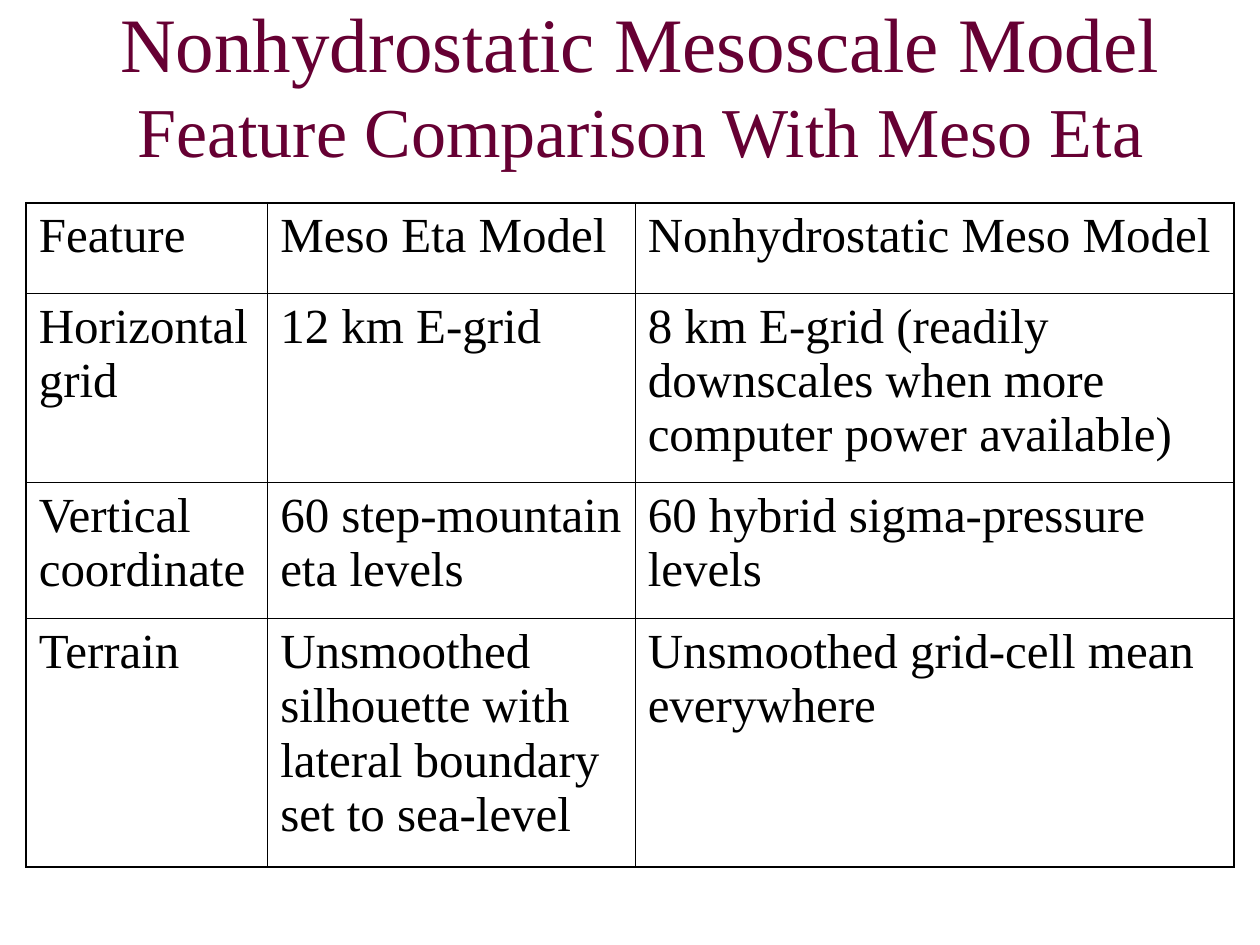
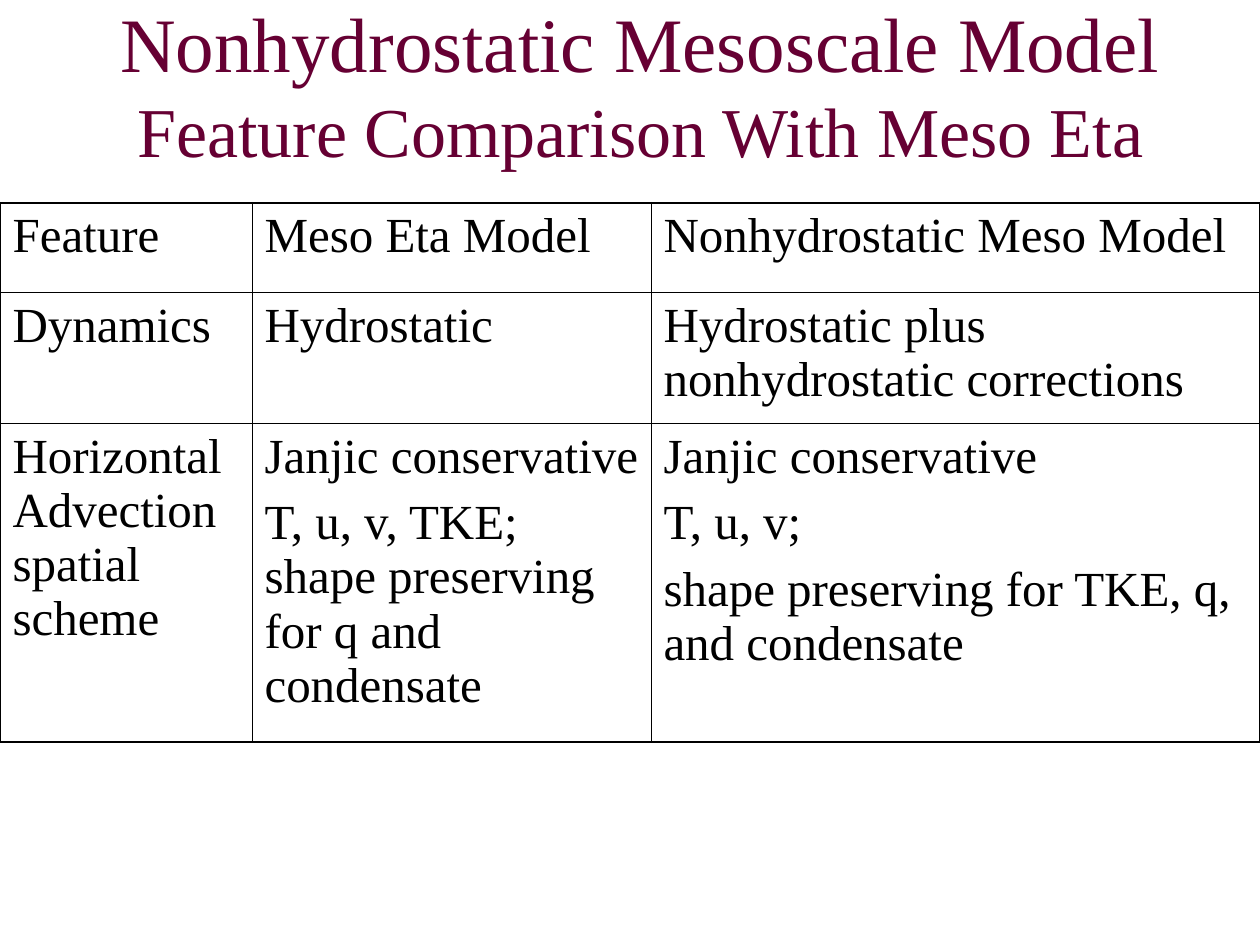
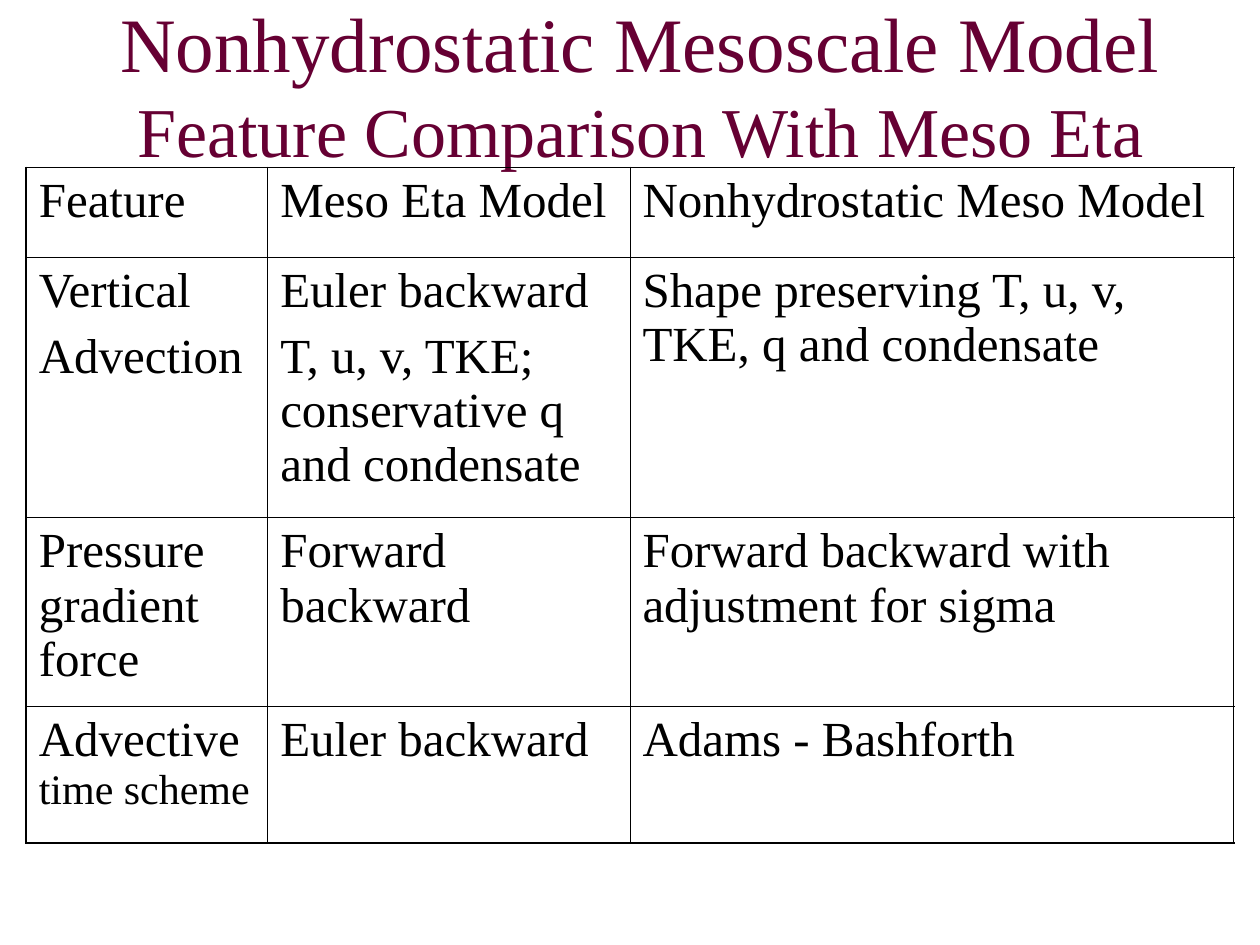
from dataclasses import dataclass

from lxml.etree import SubElement
from pptx import Presentation
from pptx.dml.color import RGBColor
from pptx.enum.text import MSO_ANCHOR, MSO_AUTO_SIZE, PP_ALIGN
from pptx.oxml.ns import qn
from pptx.slide import Slide
from pptx.table import _Cell
from pptx.util import Emu, Inches, Pt

WIDTH, HEIGHT = Inches(10), Inches(7.5)
COL, ROW = WIDTH // 240, HEIGHT // 750
FONT = "Times New Roman"
PLUM = RGBColor(0x66, 0x00, 0x33)
BLACK = RGBColor(0x00, 0x00, 0x00)
OUTER, INNER = Pt(1.08), Pt(0.45)
TITLE = "Nonhydrostatic Mesoscale Model\vFeature Comparison With Meso Eta"
TITLE_SIZES = (44, 40)
BODY_SIZE, SMALL_SIZE = 28, 24
SMALL_MARK = "|"
HEADER = ("Feature", "Meso Eta Model", "Nonhydrostatic Meso Model")


@dataclass(frozen=True)
class Comparison:
    left: int
    top: int
    cols: tuple[int, ...]
    rows: tuple[int, ...]
    features: tuple[tuple[str, str, str], ...]


COMPARISONS = (
    Comparison(5, 161, (46, 70, 114), (72, 150, 108, 197), (
        ("Horizontal grid", "12 km E-grid",
         "8 km E-grid (readily downscales when more computer power available)"),
        ("Vertical coordinate", "60 step-mountain eta levels",
         "60 hybrid sigma-pressure levels"),
        ("Terrain", "Unsmoothed silhouette with lateral boundary set to sea-level",
         "Unsmoothed grid-cell mean everywhere"),
    )),
    Comparison(0, 161, (48, 76, 116), (71, 104, 253), (
        ("Dynamics", "Hydrostatic", "Hydrostatic plus nonhydrostatic corrections"),
        ("HorizontalAdvection spatial scheme",
         "Janjic conservative\nT, u, v, TKE; shape preserving for q and condensate",
         "Janjic conservative\nT, u, v;\nshape preserving for TKE, q, and condensate"),
    )),
    Comparison(5, 133, (46, 69, 115), (71, 207, 150, 108), (
        ("Vertical\nAdvection",
         "Euler backward\nT, u, v, TKE; conservative q and condensate",
         "Shape preserving T, u, v, TKE, q and condensate"),
        ("Pressure gradient force", "Forward backward",
         "Forward backward with adjustment for sigma"),
        ("Advective |time scheme", "Euler backward", "Adams - Bashforth"),
    )),
)


def format_run(r, size: float, color: RGBColor) -> None:
    r.font.name = FONT
    r.font.size = Pt(size)
    r.font.color.rgb = color


def add_title(s: Slide) -> None:
    sp = s.shapes.title
    sp.left, sp.top = Emu(14 * COL), Emu(0)
    sp.width, sp.height = Emu(216 * COL), Emu(133 * ROW)
    tf = sp.text_frame
    tf.text = TITLE
    tf.word_wrap = True
    tf.auto_size = MSO_AUTO_SIZE.NONE
    tf.vertical_anchor = MSO_ANCHOR.MIDDLE
    p = tf.paragraphs[0]
    p.alignment = PP_ALIGN.CENTER
    for r, size in zip(p.runs, TITLE_SIZES):
        format_run(r, size, PLUM)


def fill_cell(cell: _Cell, text: str) -> None:
    main, _, small = text.partition(SMALL_MARK)
    tf = cell.text_frame
    tf.text = main
    for i, p in enumerate(tf.paragraphs):
        if i:
            p.space_before = Pt(7)
        for r in p.runs:
            format_run(r, BODY_SIZE, BLACK)
    if small:
        r = tf.paragraphs[-1].add_run()
        r.text = small
        format_run(r, SMALL_SIZE, BLACK)


def set_borders(cell: _Cell, outer: dict[str, bool]) -> None:
    tc_pr = cell._tc.get_or_add_tcPr()
    for side, is_outer in outer.items():
        ln = SubElement(tc_pr, qn(f"a:ln{side}"), w=str(OUTER if is_outer else INNER))
        fill = SubElement(ln, qn("a:solidFill"))
        SubElement(fill, qn("a:srgbClr"), val=str(BLACK))
    cell.fill.background()


def add_comparison(s: Slide, c: Comparison) -> None:
    content = (HEADER, *c.features)
    table = s.shapes.add_table(
        len(c.rows), len(c.cols), Emu(c.left * COL), Emu(c.top * ROW),
        Emu(sum(c.cols) * COL), Emu(sum(c.rows) * ROW)).table
    table.first_row = table.horz_banding = False
    for column, width in zip(table.columns, c.cols):
        column.width = Emu(width * COL)
    for i, (row, height) in enumerate(zip(table.rows, c.rows)):
        row.height = Emu(height * ROW)
        for j, cell in enumerate(row.cells):
            fill_cell(cell, content[i][j])
            set_borders(cell, {"L": j == 0, "R": j == len(c.cols) - 1,
                               "T": i == 0, "B": i == len(c.rows) - 1})


def main() -> None:
    prs = Presentation()
    prs.slide_width, prs.slide_height = WIDTH, HEIGHT
    for comparison in COMPARISONS:
        s = prs.slides.add_slide(prs.slide_layouts.get_by_name("Title Only"))
        add_title(s)
        add_comparison(s, comparison)
    prs.save("out.pptx")


if __name__ == "__main__":
    main()
